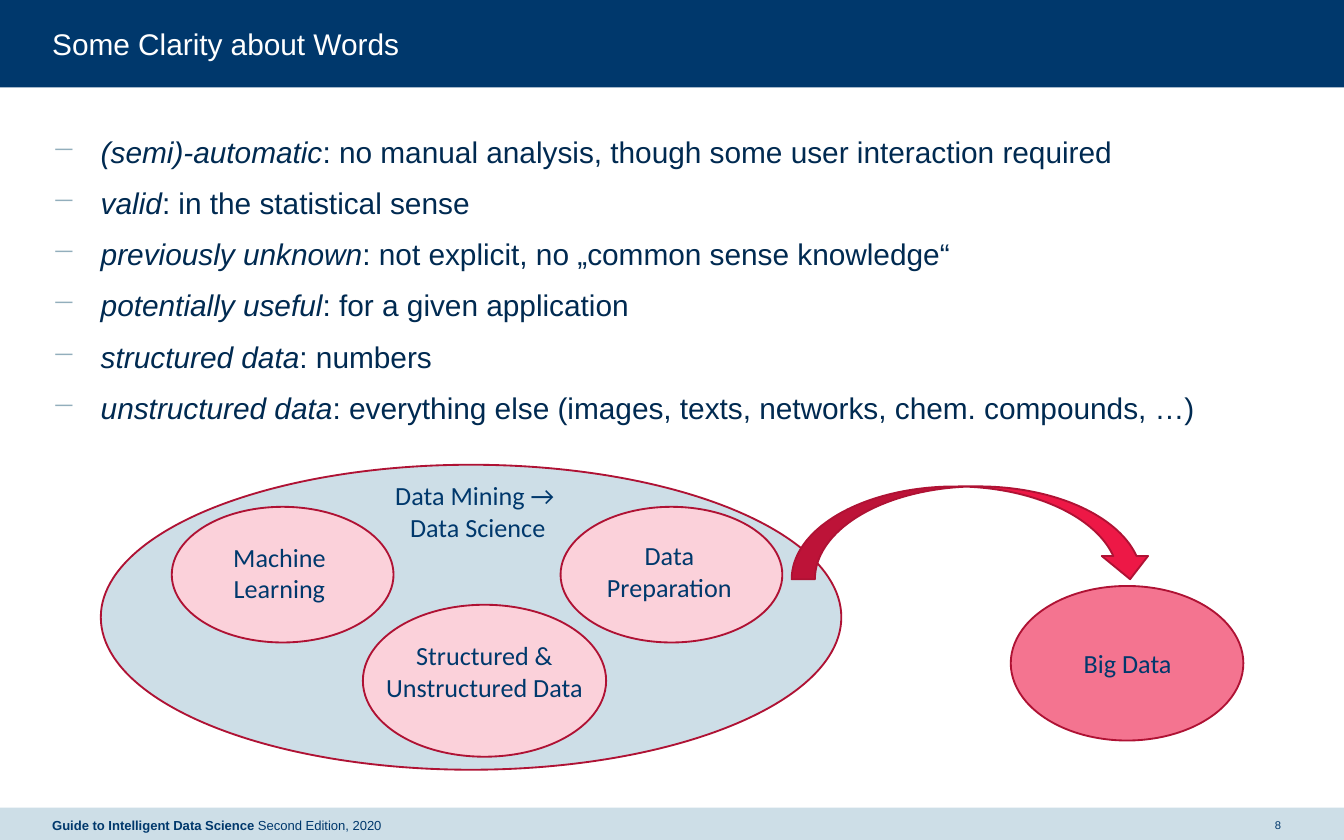
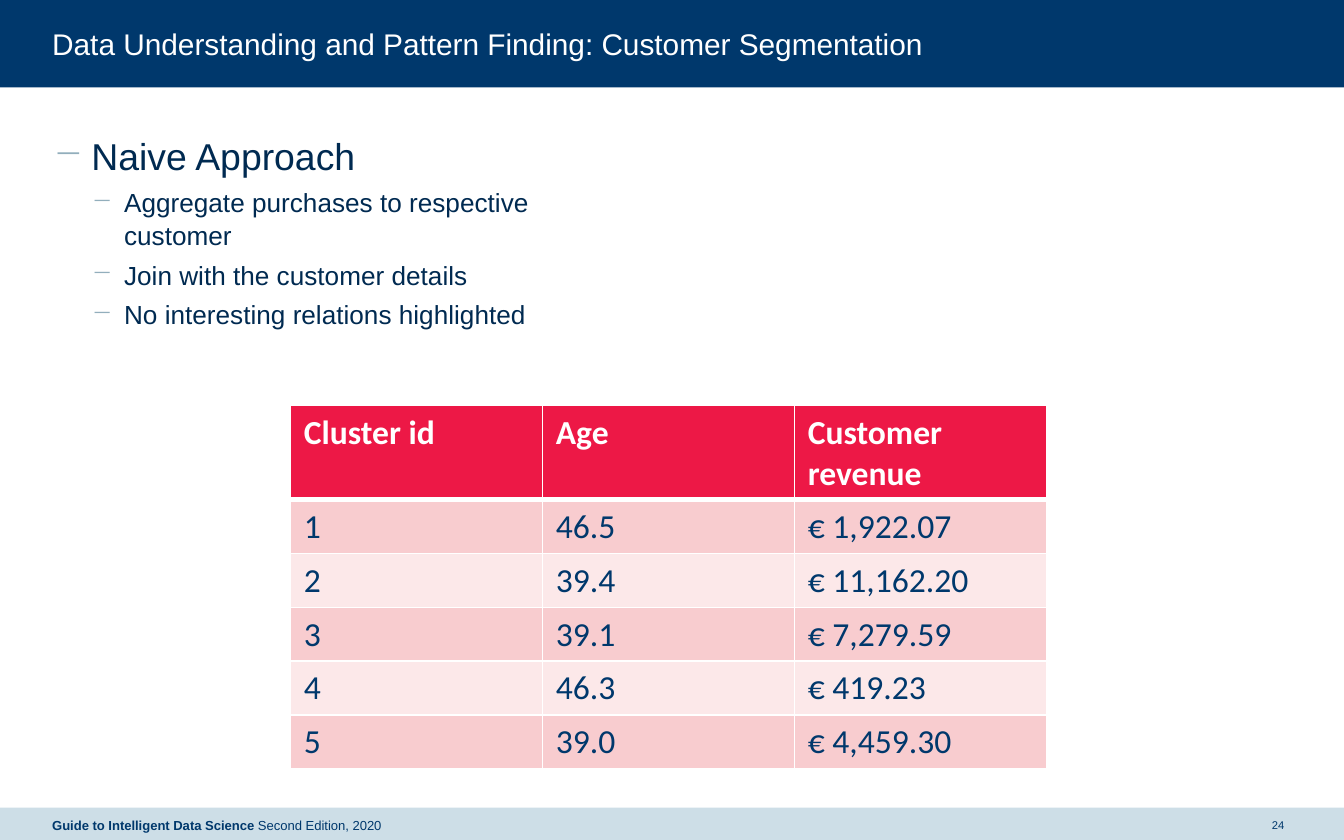
import pptx
import pptx.dml.color
import pptx.enum.shapes
import pptx.enum.text
import pptx.oxml
import pptx.oxml.ns
import pptx.util

Pt = pptx.util.Pt
SHAPE = pptx.enum.shapes.MSO_SHAPE
ALIGN = pptx.enum.text.PP_ALIGN
ANCHOR = pptx.enum.text.MSO_ANCHOR

NAVY, DEEP_NAVY, PALE_BLUE, BULLET_BLUE = "00386C", "002A51", "CDDEE7", "92AEBC"
RED, DARK_RED, ROSE, PINK = "ED1846", "AF1234", "F47490", "FBD1DA"
BAND_DARK, BAND_LIGHT, WHITE = "F8CCCF", "FCE8E9", "FFFFFF"

MARGIN, FOOTER_TOP, FOOTER_H = 28, 432.7, 18.7
TITLE = dict(size=16, name="Arial", color=WHITE)
FOOTER = dict(size=7, name="Arial", color=NAVY)
PAGE = dict(size=6, name="Arial", color=NAVY)
LABEL = dict(size=14, name="Calibri", color=NAVY)
HEAD_CELL = dict(size=18, name="Calibri", color=WHITE, bold=True)
BODY_CELL = dict(size=18, name="Calibri", color=NAVY, bold=False)


def rgb(value):
    return pptx.dml.color.RGBColor.from_string(value)


def xml(tag, content="", **attrs):
    """Make an element of the drawing namespace around the given inner XML."""
    listed = "".join(f' {k}="{v}"' for k, v in attrs.items())
    ns = pptx.oxml.ns.nsdecls("a")
    return pptx.oxml.parse_xml(f"<a:{tag} {ns}{listed}>{content}</a:{tag}>")


def set_font(font, style):
    for key, value in style.items():
        if key == "color":
            font.color.rgb = rgb(value)
        else:
            setattr(font, key, Pt(value) if key == "size" else value)


def add_runs(p, runs, style):
    """Add (text, changes to the style) pairs; a newline is a line break."""
    for text, changes in runs:
        for i, line in enumerate(text.split("\n")):
            if i:
                p.add_line_break()
            r = p.add_run()
            r.text = line
            set_font(r.font, {**style, **changes})


class Deck:
    def __init__(self):
        self.prs = pptx.Presentation()
        self.prs.slide_width, self.prs.slide_height = Pt(720), Pt(450)
        self.s = None

    def slide(self, title, number):
        """Start a slide with its bands, title, footer and page number."""
        self.s = self.prs.slides.add_slide(self.prs.slide_layouts[6])
        self.shape(SHAPE.RECTANGLE, (0, 0, 720, 46.8), NAVY)
        self.shape(SHAPE.RECTANGLE, (0, FOOTER_TOP, 720, FOOTER_H), PALE_BLUE)
        self.text((MARGIN, 13.7, 664, 19.4), [(title, {})], TITLE, inset=False)
        self.text((677.5, FOOTER_TOP, 14.4, FOOTER_H), [(str(number), {})], PAGE,
                  ALIGN.CENTER, ANCHOR.MIDDLE, inset=False)
        footer = [("Guide to Intelligent Data Science ", {"bold": True}),
                  ("Second Edition, 2020", {})]
        self.text((MARGIN, FOOTER_TOP, 316, FOOTER_H), footer, FOOTER,
                  anchor=ANCHOR.MIDDLE, inset=False)

    def shape(self, kind, box, fill, line=None):
        sp = self.s.shapes.add_shape(kind, *map(Pt, box))
        sp.shadow.inherit = False
        sp.fill.solid()
        sp.fill.fore_color.rgb = rgb(fill)
        if line:
            sp.line.color.rgb = rgb(line)
            sp.line.width = Pt(1)
        else:
            sp.line.fill.background()
        return sp

    def frame(self, box, anchor=ANCHOR.TOP, inset=True):
        """Add a wrapping text box and return its text frame."""
        tf = self.s.shapes.add_textbox(*map(Pt, box)).text_frame
        tf.word_wrap = True
        tf.vertical_anchor = anchor
        if not inset:
            for side in ("left", "top", "right", "bottom"):
                setattr(tf, f"margin_{side}", 0)
        return tf

    def text(self, box, runs, style, align=ALIGN.LEFT, anchor=ANCHOR.TOP, inset=True):
        p = self.frame(box, anchor, inset).paragraphs[0]
        p.alignment = align
        add_runs(p, runs, style)

    def label(self, box, text):
        self.text(box, [(text, {})], LABEL, ALIGN.CENTER)

    def bullets(self, box, items):
        """Items are (runs, size, left indent, hanging indent, space before)."""
        tf = self.frame(box, inset=False)
        for i, (runs, size, left, hang, before) in enumerate(items):
            p = tf.add_paragraph() if i else tf.paragraphs[0]
            pPr = p._p.get_or_add_pPr()
            pPr.set("marL", str(Pt(left)))
            pPr.set("indent", str(-Pt(hang)))
            pPr.append(xml("buClr", f'<a:srgbClr val="{BULLET_BLUE}"/>'))
            pPr.append(xml("buChar", char="−"))
            p.line_spacing = 1.04
            p.space_before = Pt(before if i else 0)
            add_runs(p, runs, dict(size=size, name="Arial", color=DEEP_NAVY))

    def table(self, left, top, col_w, row_h, rows):
        n_cols = len(rows[0])
        size = (left, top, col_w * n_cols, row_h * len(rows))
        tbl = self.s.shapes.add_table(len(rows), n_cols, *map(Pt, size)).table
        for col in tbl.columns:
            col.width = Pt(col_w)
        for i, row in enumerate(rows):
            tbl.rows[i].height = Pt(row_h)
            fill = (BAND_DARK if i % 2 else BAND_LIGHT) if i else RED
            for j, text in enumerate(row):
                cell = tbl.cell(i, j)
                widths = dict(lnL=1, lnR=1, lnT=3 if i == 1 else 1, lnB=1 if i else 3)
                for tag, width in widths.items():
                    color = f'<a:solidFill><a:srgbClr val="{WHITE}"/></a:solidFill>'
                    cell._tc.get_or_add_tcPr().append(xml(tag, color, w=Pt(width)))
                cell.fill.solid()
                cell.fill.fore_color.rgb = rgb(fill)
                add_runs(cell.text_frame.paragraphs[0], [(text, {})],
                         BODY_CELL if i else HEAD_CELL)


def words_slide(deck):
    deck.slide("Some Clarity about Words", 8)
    terms = {
        "(semi)-automatic": "no manual analysis, though some user interaction required",
        "valid": "in the statistical sense",
        "previously unknown": "not explicit, no „common sense knowledge“",
        "potentially useful": "for a given application",
        "structured data": "numbers",
        "unstructured data":
            "everything else (images, texts, networks, chem. compounds, …)",
    }
    deck.bullets((MARGIN, 70.6, 659.5, 339), [
        ([(term, {"italic": True}), (f": {meaning}", {})], 16, 26, 26, 7.5)
        for term, meaning in terms.items()])

    for box, fill in [((541.5, 313.9, 124.6, 82.8), ROSE),
                      ((54, 249, 396.7, 163.4), PALE_BLUE),
                      ((194.4, 324, 130.3, 81.4), PINK),
                      ((300.3, 271.5, 118.8, 72.7), PINK),
                      ((92, 271.5, 118.8, 72.7), PINK)]:
        deck.shape(SHAPE.OVAL, box, fill, DARK_RED)

    deck.label((143.3, 253.4, 225.4, 41), "Data Mining → \nData Science")
    deck.label((553, 343.4, 102.2, 24.5), "Big Data")
    deck.label((104.4, 286.3, 90.7, 41), "Machine Learning")
    deck.label((304.6, 285.5, 108, 41), "Data Preparation")
    deck.label((197.3, 339.1, 124.6, 58.3), "Structured & Unstructured Data")

    arrow = deck.shape(SHAPE.CURVED_RIGHT_ARROW, (496.1, 188.6, 49.7, 193.7),
                       RED, DARK_RED)
    arrow.rotation = 270
    arrow._element.spPr.xfrm.set("flipH", "1")


def segmentation_slide(deck):
    deck.slide("Data Understanding and Pattern Finding: Customer Segmentation", 24)
    steps = ["Aggregate purchases to respective customer",
             "Join with the customer details",
             "No interesting relations highlighted"]
    deck.bullets((MARGIN, 70.6, 316, 339), [
        ([("Naive Approach", {})], 20, 21, 20.2, 7.5),
        *(([(step, {})], 14, 38.5, 17.3, 3.8) for step in steps)])
    deck.table(155.6, 217.3, 135, 23.6, [
        ("Cluster id", "Age", "Customer revenue"),
        ("1", "46.5", "€ 1,922.07"),
        ("2", "39.4", "€ 11,162.20"),
        ("3", "39.1", "€ 7,279.59"),
        ("4", "46.3", "€ 419.23"),
        ("5", "39.0", "€ 4,459.30")])


def main():
    deck = Deck()
    words_slide(deck)
    segmentation_slide(deck)
    deck.prs.save("out.pptx")


if __name__ == "__main__":
    main()
